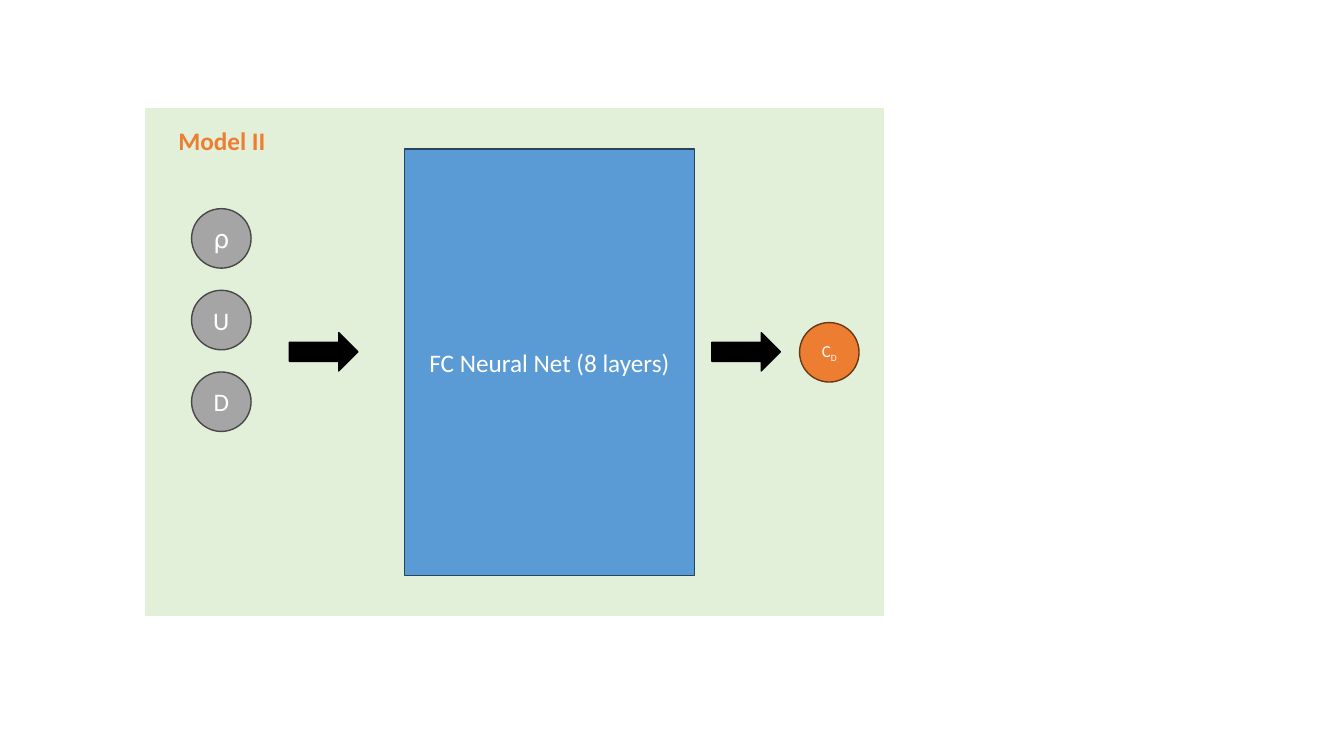
from pptx import Presentation
from pptx.dml.color import RGBColor
from pptx.enum.shapes import MSO_SHAPE as Shape
from pptx.enum.text import MSO_ANCHOR as Anchor, MSO_AUTO_SIZE as AutoSize, PP_ALIGN as Align
from pptx.util import Inches, Pt

WHITE = RGBColor(0xFF, 0xFF, 0xFF)
BLACK = RGBColor(0x00, 0x00, 0x00)
PALE_GREEN = RGBColor(0xE2, 0xF0, 0xD9)
GRAY = RGBColor(0xA5, 0xA5, 0xA5)
DARK_GRAY = RGBColor(0x48, 0x48, 0x48)
BLUE = RGBColor(0x5B, 0x9B, 0xD5)
DARK_BLUE = RGBColor(0x28, 0x44, 0x5D)
ORANGE = RGBColor(0xED, 0x7D, 0x31)
DARK_ORANGE = RGBColor(0x68, 0x37, 0x15)

NODE = 0.59

deck = Presentation()
deck.slide_width = Inches(13.33)
deck.slide_height = Inches(7.5)
page = deck.slides.add_slide(deck.slide_layouts[6])


def add_span(para, text, size, color, bold=False):
    span = para.add_run()
    span.text = text
    font_format = {"name": "Calibri", "size": Pt(size), "bold": bold}
    for key, value in font_format.items():
        setattr(span.font, key, value)
    span.font.color.rgb = color
    return span


def add_block(kind, place, fill, line, width=1, text="", size=18):
    block = page.shapes.add_shape(kind, *map(Inches, place))
    block.shadow.inherit = False
    block.fill.solid()
    block.fill.fore_color.rgb = fill
    block.line.color.rgb = line
    block.line.width = Pt(width)
    if text:
        block.text_frame.vertical_anchor = Anchor.MIDDLE
        para = block.text_frame.paragraphs[0]
        para.alignment = Align.CENTER
        add_span(para, text, size, WHITE)
    return block


add_block(Shape.RECTANGLE, (1.44, 1.08, 7.32, 5.03), PALE_GREEN, PALE_GREEN, 0.5)

for row, symbol in enumerate("⍴UD"):
    add_block(Shape.OVAL, (1.9, 2.07 + 0.81 * row, NODE, NODE), GRAY, DARK_GRAY, text=symbol)

add_block(Shape.RECTANGLE, (4.01, 1.48, 2.88, 4.23), BLUE, DARK_BLUE,
          text="FC Neural Net (8 layers)")

drag = add_block(Shape.OVAL, (7.93, 3.2, NODE, NODE), ORANGE, DARK_ORANGE, text="C", size=12)
subscript = add_span(drag.text_frame.paragraphs[0], "D", 12, WHITE)
subscript._r.get_or_add_rPr().set("baseline", "-25000")

for left in (2.87, 7.06):
    add_block(Shape.RIGHT_ARROW, (left, 3.3, 0.68, 0.38), BLACK, BLACK)

title = page.shapes.add_textbox(Inches(1.67), Inches(1.19), Inches(1.31), Inches(0.4))
frame_format = {"word_wrap": True, "auto_size": AutoSize.SHAPE_TO_FIT_TEXT}
for key, value in frame_format.items():
    setattr(title.text_frame, key, value)
add_span(title.text_frame.paragraphs[0], "Model II", 18, ORANGE, bold=True)

deck.save("out.pptx")
